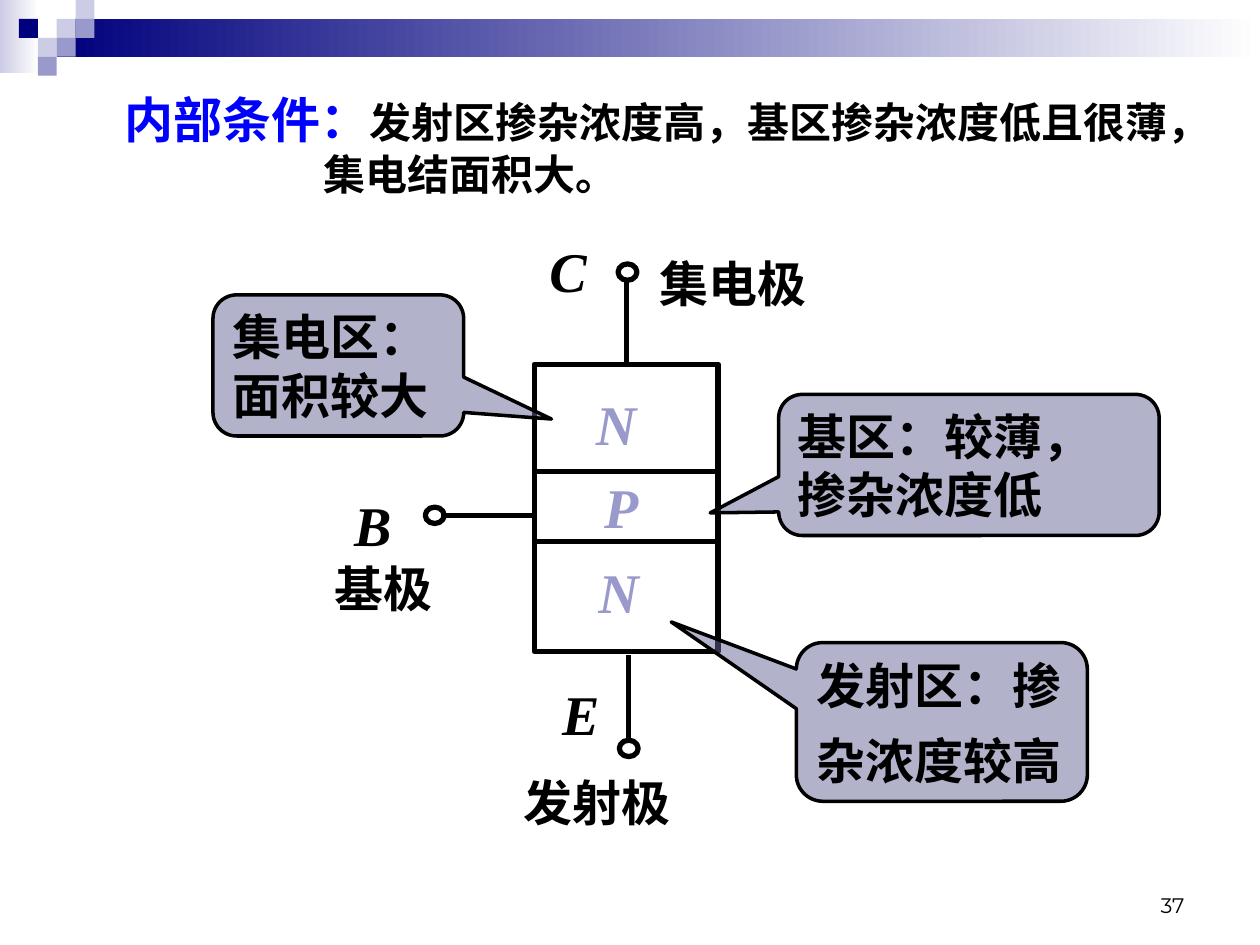
from dataclasses import dataclass

import pptx
import pptx.dml.color
import pptx.enum.dml
import pptx.enum.shapes
import pptx.enum.text
import pptx.oxml.ns
import pptx.util
from lxml import etree

COLORS = {
    "black": "000000", "white": "FFFFFF", "blue": "0000FF", "navy": "00007D",
    "pale": "CCCCE6", "lilac": "9999CC", "callout": "666699",
}
SHAPE = pptx.enum.shapes.MSO_SHAPE
ALIGN = pptx.enum.text.PP_ALIGN
ANCHOR = pptx.enum.text.MSO_ANCHOR
SERIF = "Times New Roman"
LETTER = {"name": SERIF, "size": 32, "bold": True, "italic": True, "color": "black"}
REGION = LETTER | {"color": "lilac"}
NAME = {"name": SERIF, "size": 28, "bold": True, "color": "black"}
HEADING = {"name": "Karla", "size": 28, "bold": True, "color": "blue"}
STATEMENT = {"name": "Arial", "size": 24, "bold": True, "color": "black"}
PAGE = {"name": "Montserrat", "size": 12, "color": "black"}


@dataclass
class Box:
    """A region in grid cells; ten columns or rows make one inch."""
    left: float
    top: float
    width: float
    height: float

    def inner(self, left, top, width, height):
        return Box(self.left + left, self.top + top, width, height)

    def lengths(self):
        return [cells(value) for value in (self.left, self.top, self.width, self.height)]


def cells(count):
    return pptx.util.Inches(count / 10)


def rgb(name):
    return pptx.dml.color.RGBColor.from_string(COLORS[name])


def add_run(paragraph, text, style):
    run = paragraph.add_run()
    run.text = text
    for key, value in style.items():
        if key == "color":
            run.font.color.rgb = rgb(value)
        else:
            setattr(run.font, key, pptx.util.Pt(value) if key == "size" else value)


def format_frame(frame, wrap, anchor=ANCHOR.MIDDLE, inset=(1, 0.5)):
    settings = {
        "word_wrap": wrap, "vertical_anchor": anchor,
        "auto_size": pptx.enum.text.MSO_AUTO_SIZE.NONE,
        "margin_left": cells(inset[0]), "margin_right": cells(inset[0]),
        "margin_top": cells(inset[1]), "margin_bottom": cells(inset[1]),
    }
    for key, value in settings.items():
        setattr(frame, key, value)


def add_label(slide, box, text, style, align=ALIGN.CENTER, wrap=False, anchor=ANCHOR.MIDDLE):
    frame = slide.shapes.add_textbox(*box.lengths()).text_frame
    format_frame(frame, wrap, anchor)
    frame.paragraphs[0].alignment = align
    add_run(frame.paragraphs[0], text, style)


def add_box(slide, kind, box, fill=None, line_width=None):
    shape = slide.shapes.add_shape(kind, *box.lengths())
    shape.shadow.inherit = False
    if fill:
        shape.fill.solid()
        shape.fill.fore_color.rgb = rgb(fill)
    else:
        shape.fill.background()
    if line_width:
        shape.line.color.rgb = rgb("black")
        shape.line.width = pptx.util.Pt(line_width)
    else:
        shape.line.fill.background()
    return shape


def add_banner(slide, box):
    bars = [(box.inner(0, 0, 3.1, 5.8), "pale"),
            (box.inner(4.5, 1.5, box.width - 4.5, 3), "navy")]
    for bar, start in bars:
        shape = add_box(slide, SHAPE.RECTANGLE, bar, start)
        shape.fill.gradient()
        shape.fill.gradient_angle = 0
        for stop, color in zip(shape.fill.gradient_stops, (start, "white")):
            stop.color.rgb = rgb(color)
    side = 1.5
    squares = [(3, 1, "pale"), (4, 0, "pale"), (4, 1, "lilac"), (2, 2, "pale"),
               (1, 1, "navy"), (3, 2, "lilac"), (2, 3, "lilac")]
    for column, row, color in squares:
        square = box.inner(column * side, row * side, side, side)
        add_box(slide, SHAPE.RECTANGLE, square, color)


def add_title(slide, box):
    title = slide.shapes.title
    title.left, title.top, title.width, title.height = box.lengths()
    frame = title.text_frame
    format_frame(frame, False, inset=(0, 0))
    first, second = frame.paragraphs[0], frame.add_paragraph()
    add_run(first, "内部条件：", HEADING)
    add_run(first, "发射区掺杂浓度高，基区掺杂浓度低且很薄，", STATEMENT)
    second._p.get_or_add_pPr().set("marL", str(cells(15.8)))
    add_run(second, "集电结面积大。", STATEMENT)
    for paragraph in frame.paragraphs:
        paragraph.alignment = ALIGN.LEFT


def add_lead(slide, box, start, end):
    points = [cells(value) for x, y in (start, end) for value in (box.left + x, box.top + y)]
    lead = slide.shapes.add_connector(pptx.enum.shapes.MSO_CONNECTOR.STRAIGHT, *points)
    lead.line.color.rgb = rgb("black")
    lead.line.width = pptx.util.Pt(3)
    etree.SubElement(lead._element.spPr, pptx.oxml.ns.qn("a:effectLst"))
    return lead


def add_transistor(slide, box):
    layer_left, layer_width, top = 17.4, 14.6, 10.9
    layers = []
    for height in (8.5, 5.6, 8.7):
        layer = box.inner(layer_left, top, layer_width, height)
        layers.append(add_box(slide, SHAPE.RECTANGLE, layer, line_width=3))
        top += height

    collector = add_lead(slide, box, (24.7, 4.2), (24.7, 10.9))
    collector.end_connect(layers[0], 0)
    add_lead(slide, box, (10, 22.9), (layer_left, 22.9))
    add_lead(slide, box, (24.9, 40.7), (24.9, 34))
    for x, y in [(24.8, 3.6), (9.5, 22.9), (24.9, 41.4)]:
        terminal = box.inner(x - 0.75, y - 0.65, 1.5, 1.3)
        add_box(slide, SHAPE.OVAL, terminal, line_width=3)

    letters = [("C", 17.6, 0.2, LETTER), ("B", 2.1, 20.4, LETTER), ("E", 18.6, 35.4, LETTER),
               ("N", 21.4, 12.4, REGION), ("P", 21.8, 19, REGION), ("N", 21.6, 25.7, REGION)]
    for text, left, row, style in letters:
        add_label(slide, box.inner(left, row, 5, 6.4), text, style)
    names = [("集电极", 26.4, 1.6, 13.6), ("基极", 0.6, 25.8, 9.7), ("发射极", 15.6, 42.8, 13.6)]
    for text, left, row, width in names:
        add_label(slide, box.inner(left, row, width, 5.7), text, NAME)


def add_callout(slide, box, lines, tip, wrap=True):
    """Tip is the pointer's end, as shares of the box measured from its centre."""
    shape = add_box(slide, SHAPE.ROUNDED_RECTANGULAR_CALLOUT, box, "callout", 2)
    for index, value in enumerate((*tip, 0.167)):
        shape.adjustments[index] = value
    color = shape._element.spPr.find(".//" + pptx.oxml.ns.qn("a:srgbClr"))
    etree.SubElement(color, pptx.oxml.ns.qn("a:alpha"), val="50000")
    frame = shape.text_frame
    format_frame(frame, wrap)
    for index, line in enumerate(lines):
        paragraph = frame.add_paragraph() if index else frame.paragraphs[0]
        paragraph.alignment = ALIGN.LEFT
        if index:
            paragraph.space_before = pptx.util.Pt(17.5)
            paragraph.line_spacing = 0.75
        add_run(paragraph, line, NAME)


def main():
    presentation = pptx.Presentation()
    presentation.slide_width, presentation.slide_height = cells(100), cells(75)
    slide = presentation.slides.add_slide(presentation.slide_layouts[5])
    add_banner(slide, Box(0, 0, 100, 6))
    add_title(slide, Box(9.9, 7.1, 86.1, 8.7))
    add_transistor(slide, Box(25, 18, 40, 49))
    add_callout(slide, Box(61.8, 31.3, 30.2, 11.2), ["基区：较薄，掺杂浓度低"], (-0.68, 0.34))
    add_callout(slide, Box(16.9, 23.4, 19.9, 11.2), ["集电区：面积较大"], (0.85, 0.38))
    add_callout(slide, Box(63.2, 51, 23.1, 12.6), ["发射区：掺", "杂浓度较高"],
                (-0.93, -0.63), wrap=False)
    add_label(slide, Box(71.7, 68.3, 23.3, 5), "37", PAGE, ALIGN.RIGHT, True, ANCHOR.BOTTOM)
    presentation.save("out.pptx")


if __name__ == "__main__":
    main()
